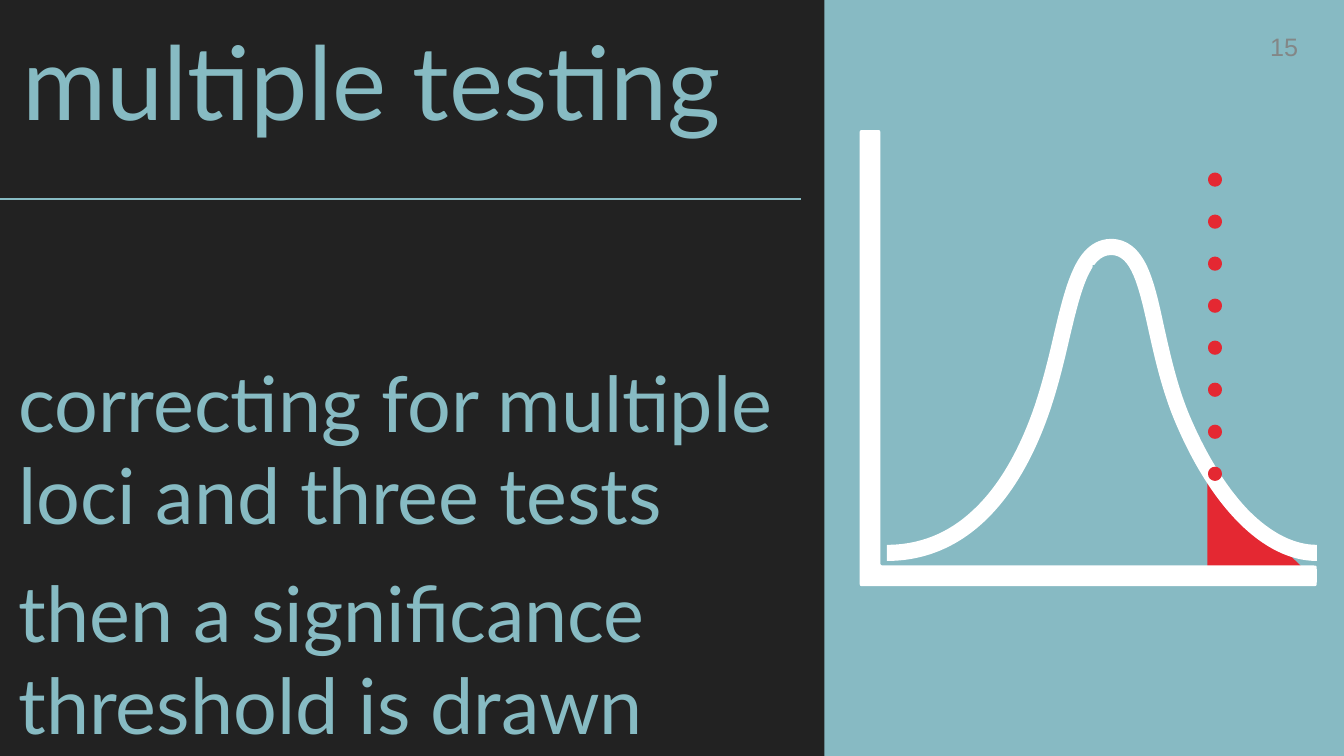
from lxml.etree import SubElement
from pptx import Presentation
from pptx.dml.color import RGBColor
from pptx.enum.shapes import MSO_CONNECTOR, MSO_SHAPE
from pptx.enum.text import MSO_ANCHOR, MSO_AUTO_SIZE, PP_ALIGN
from pptx.oxml.ns import qn
from pptx.util import Inches, Pt

WIDTH, HEIGHT = 26.67, 15
DARK, PANEL, TEXT, RED, WHITE, GREY = "222222", "87BAC3", "87BBC3", "E42832", "FFFFFF", "838787"

AXES = [(0, 0), (0, 9.05), (9.07, 9.05), (9.07, 8.64), (0.41, 8.64), (0.41, 0)]
OUTER = [(0.54, 8.55), (1.95, 8.55), (3.06, 7.56), (3.73, 5.7),
         (3.92, 5.17), (4.05, 4.63), (4.16, 4.15), (4.38, 3.22), (4.56, 2.48), (4.99, 2.48),
         (5.38, 2.48), (5.53, 3.05), (5.73, 3.97), (5.85, 4.51), (5.99, 5.13), (6.23, 5.72),
         (6.96, 7.49), (8.02, 8.55), (9.07, 8.55)]
INNER = [(9.07, 8.23), (8.63, 8.23), (8.17, 8), (7.73, 7.56), (7.28, 7.1), (6.86, 6.42), (6.52, 5.6),
         (6.29, 5.03), (6.16, 4.43), (6.04, 3.9), (5.94, 3.43), (5.85, 3.03), (5.71, 2.72),
         (5.54, 2.35), (5.3, 2.16), (4.99, 2.16), (4.51, 2.16), (4.3, 2.63), (4.23, 2.78),
         (4.08, 3.11), (3.97, 3.56), (3.85, 4.07), (3.74, 4.55), (3.61, 5.08), (3.43, 5.59),
         (3.12, 6.45), (2.72, 7.11), (2.24, 7.55), (1.76, 8), (1.19, 8.23), (0.54, 8.23)]


def color(value):
    return RGBColor.from_string(value)


def apply(target, formats):
    for name, value in formats.items():
        setattr(target, name, value)


def paint(shape, fill):
    shape.shadow.inherit = False
    shape.fill.solid()
    shape.fill.fore_color.rgb = color(fill)
    shape.line.fill.background()


def add_rectangle(slide, box, fill):
    shape = slide.shapes.add_shape(MSO_SHAPE.RECTANGLE, *map(Inches, box))
    paint(shape, fill)


def add_line(slide, start, end, stroke, width):
    line = slide.shapes.add_connector(MSO_CONNECTOR.STRAIGHT, *map(Inches, start + end))
    line.line.color.rgb = color(stroke)
    line.line.width = Pt(width)
    SubElement(line._element.spPr, qn("a:effectLst"))
    return line


def add_outline(slide, box, contours, fill):
    def place(point):
        return Inches(box[0] + point[0]), Inches(box[1] + point[1])

    builder = slide.shapes.build_freeform(*place(contours[0][0][0]))
    for index, contour in enumerate(contours):
        if index:
            builder.move_to(*place(contour[0][0]))
        points = [place(point) for segment in contour[1:] for point in segment]
        builder.add_line_segments(points, close=True)
    shape = builder.convert_to_shape()
    paint(shape, fill)
    lines = iter(list(shape._element.iter(qn("a:lnTo"))))
    for segment in (segment for contour in contours for segment in contour[1:]):
        first, *others = [next(lines) for _ in segment]
        if others:
            first.tag = qn("a:cubicBezTo")
            for line in others:
                first.append(line[0])
                line.getparent().remove(line)


def straight(points):
    return [(point,) for point in points]


def curved(points):
    return [points[:1]] + [points[start:start + 3] for start in range(1, len(points), 3)]


def rounded(corners, radius=0.08):
    def toward(corner, other):
        length = max(abs(b - a) for a, b in zip(corner, other))
        return tuple(a + (b - a) * radius / length for a, b in zip(corner, other))

    segments = []
    for index, corner in enumerate(corners):
        following = corners[(index + 1) % len(corners)]
        segments += [(toward(corner, corners[index - 1]),),
                     (corner, corner, toward(corner, following))]
    return segments


def add_text(slide, box, paragraphs, font, frame=None, layout=None):
    text_frame = slide.shapes.add_textbox(*map(Inches, box)).text_frame
    margins = dict.fromkeys(
        ("margin_left", "margin_top", "margin_right", "margin_bottom"), Inches(0.06))
    apply(text_frame, {"word_wrap": True, **margins, **(frame or {})})
    for index, words in enumerate(paragraphs):
        paragraph = text_frame.paragraphs[0] if index == 0 else text_frame.add_paragraph()
        apply(paragraph, layout or {})
        run = paragraph.add_run()
        run.text = words
        name, size, fill = font
        apply(run.font, {"name": name, "size": Pt(size)})
        run.font.color.rgb = color(fill)


def add_message(slide, box):
    left, top, width, height = box
    rule = top + 3.95
    add_line(slide, (left, rule), (left + 0.971 * width, rule), TEXT, 4)
    add_text(slide, (left + 0.39, top + 0.31, 0.905 * width, 0.278 * height),
             ["multiple testing"], ("Lato", 146.2, TEXT), layout={"space_before": Pt(33)})
    add_text(slide, (left + 0.31, rule - 0.21, 0.949 * width, 0.747 * height),
             ["correcting for multiple loci and three tests",
              "then a significance threshold is drawn"],
             ("Lato", 110.4, TEXT), {"vertical_anchor": MSO_ANCHOR.BOTTOM},
             {"space_before": Pt(35)})


def add_distribution(slide, box):
    left, top = box
    tail = [(6.9, 6.84), (6.9, 8.85), (8.96, 8.85)]
    add_outline(slide, box, [straight(tail)], RED)
    bell = curved(OUTER) + curved(INNER)
    add_outline(slide, box, [rounded(AXES), bell], WHITE)
    threshold = left + 7.05
    line = add_line(slide, (threshold, top + 8.49), (threshold, top + 0.46), RED, 20)
    stroke = line.line._get_or_add_ln()
    stroke.set("cap", "rnd")
    dashes = SubElement(stroke, qn("a:custDash"))
    SubElement(dashes, qn("a:ds"), d="100000", sp="200000")
    add_rectangle(slide, (left + 4.62, top + 2.68, 0.6, 5.95), PANEL)


def add_panel(slide, box):
    left, top, width, height = box
    add_rectangle(slide, box, PANEL)
    add_text(slide, (left + 8.74, top + 0.67, 0.72, 0.69), ["15"], ("Arial", 36, GREY),
             {"word_wrap": False, "auto_size": MSO_AUTO_SIZE.SHAPE_TO_FIT_TEXT},
             {"alignment": PP_ALIGN.RIGHT, "line_spacing": 0.8})
    add_distribution(slide, (left + 0.7, top + 0.172 * height))


def main():
    presentation = Presentation()
    apply(presentation, {"slide_width": Inches(WIDTH), "slide_height": Inches(HEIGHT)})
    slide = presentation.slides.add_slide(presentation.slide_layouts[6])
    slide.background.fill.solid()
    slide.background.fill.fore_color.rgb = color(DARK)
    split = 16.36
    add_message(slide, (0, 0, split, HEIGHT))
    add_panel(slide, (split, 0, WIDTH - split, HEIGHT))
    presentation.save("out.pptx")


if __name__ == "__main__":
    main()
